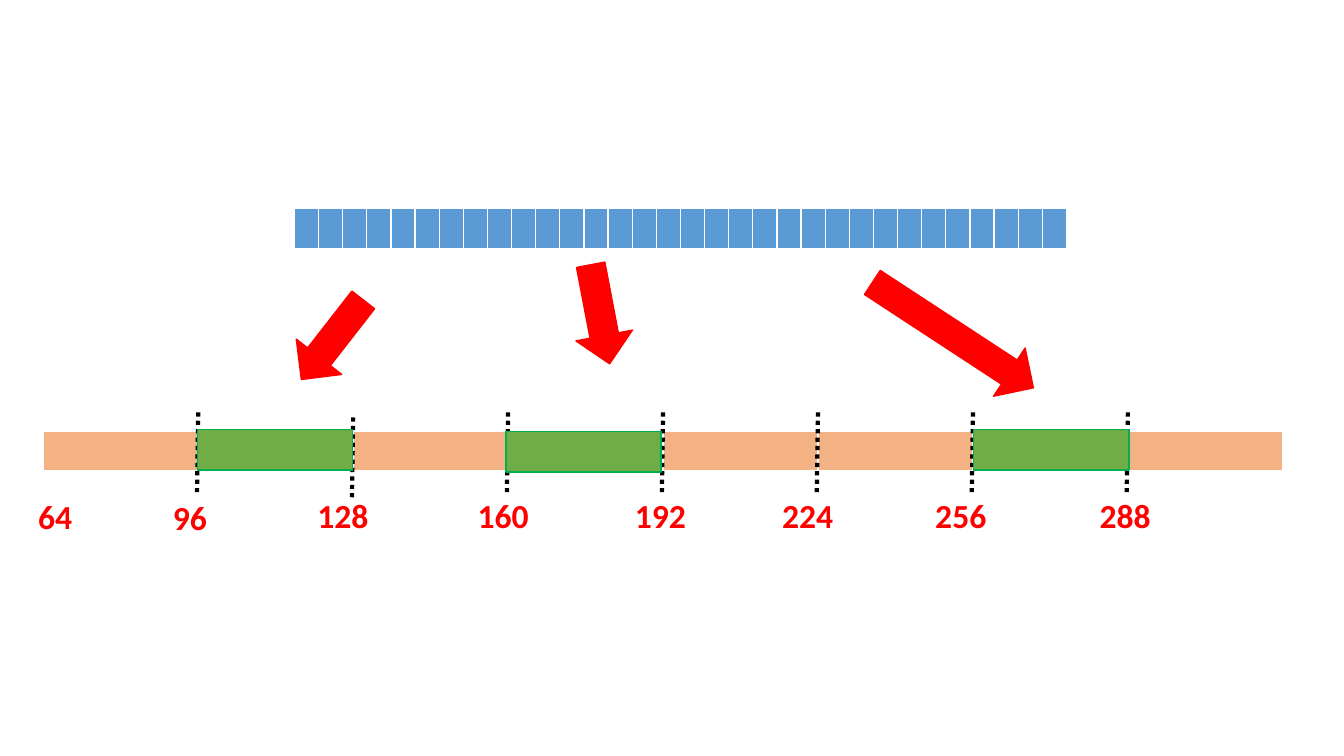
from lxml import etree
from pptx import Presentation
from pptx.dml.color import RGBColor
from pptx.enum import dml, shapes, text
from pptx.oxml import ns
from pptx.util import Cm, Pt

BLUE = RGBColor(0x5B, 0x9B, 0xD5)
ORANGE = RGBColor(0xF4, 0xB1, 0x83)
GREEN = RGBColor(0x70, 0xAD, 0x47)
GREEN_EDGE = RGBColor(0x00, 0xB0, 0x50)
RED = RGBColor(0xFF, 0x00, 0x00)
BLACK = RGBColor(0x00, 0x00, 0x00)
FONT = "Calibri"

# Strips: left, top, column count, column width, fill (cm)
SOURCE_STRIP = (7.42, 5.26, 32, 0.58, BLUE)
ADDRESS_STRIP = (1.09, 10.87, 8, 3.905, ORANGE)
STRIP_HEIGHT = 1.03
CELL_BORDERS = {"L": 1, "R": 1, "T": 1, "B": 3}

# Addresses: text, left, top, width (cm)
ADDRESSES = [
    ("64", 0.71, 12.37, 1.85),
    ("96", 4.11, 12.4, 1.88),
    ("128", 7.75, 12.34, 2.39),
    ("160", 11.79, 12.34, 2.39),
    ("192", 15.75, 12.34, 2.39),
    ("224", 19.46, 12.34, 2.39),
    ("256", 23.32, 12.34, 2.39),
    ("288", 27.46, 12.34, 2.39),
]
LABEL_HEIGHT = 1.27

# Tops of the dotted marks between address cells (cm)
MARK_TOPS = [10.39, 10.52, 10.39, 10.39, 10.39, 10.39, 10.39]
MARK_HEIGHT, MARK_SLANT = 2.01, 0.03

# Arrows: left, top, height (cm), rotation
ARROWS = [
    (7.65, 7.29, 2.54, 37.9),
    (14.4, 6.65, 2.54, 349.2),
    (23.29, 6.02, 4.85, 303.2),
]
ARROW_WIDTH = 1.45

# Blocks in use: left, top (cm)
BLOCKS = [(4.98, 10.82), (12.75, 10.87), (24.54, 10.82)]
BLOCK_WIDTH = 3.91


def add_strip(slide, left, top, count, column_width, colour):
    """Add a one-row table of equal cells with white borders."""
    strip = slide.shapes.add_table(1, count, Cm(left), Cm(top),
                                   Cm(count * column_width), Cm(STRIP_HEIGHT)).table
    for column in strip.columns:
        column.width = Cm(column_width)
    for cell in strip.iter_cells():
        properties = cell._tc.get_or_add_tcPr()
        for side, points in CELL_BORDERS.items():
            border = etree.SubElement(properties, ns.qn("a:ln" + side), w=str(Pt(points)))
            solid = etree.SubElement(border, ns.qn("a:solidFill"))
            etree.SubElement(solid, ns.qn("a:srgbClr"), val="FFFFFF")
        cell.fill.solid()
        cell.fill.fore_color.rgb = colour


def add_mark(slide, x, top):
    mark = slide.shapes.add_connector(shapes.MSO_CONNECTOR.STRAIGHT, Cm(x), Cm(top),
                                      Cm(x - MARK_SLANT), Cm(top + MARK_HEIGHT))
    mark.line.color.rgb = BLACK
    mark.line.width = Pt(3)
    mark.line.dash_style = dml.MSO_LINE.ROUND_DOT
    etree.SubElement(mark._element.spPr, ns.qn("a:effectLst"))


def add_address(slide, address, left, top, width):
    label = slide.shapes.add_textbox(Cm(left), Cm(top), Cm(width), Cm(LABEL_HEIGHT))
    frame = label.text_frame
    frame.word_wrap = True
    frame.auto_size = text.MSO_AUTO_SIZE.SHAPE_TO_FIT_TEXT
    run = frame.paragraphs[0].add_run()
    run.text = address
    run.font.name = FONT
    run.font.size = Pt(24)
    run.font.bold = True
    run.font.color.rgb = RED


def add_solid(slide, preset, left, top, width, height, fill, edge):
    solid = slide.shapes.add_shape(preset, Cm(left), Cm(top), Cm(width), Cm(height))
    solid.shadow.inherit = False
    solid.fill.solid()
    solid.fill.fore_color.rgb = fill
    solid.line.color.rgb = edge
    solid.line.width = Pt(1)
    return solid


def main():
    deck = Presentation()
    deck.slide_width, deck.slide_height = Cm(33.87), Cm(19.05)
    slide = deck.slides.add_slide(deck.slide_layouts[6])

    add_strip(slide, *SOURCE_STRIP)
    add_strip(slide, *ADDRESS_STRIP)

    strip_left, _, _, cell_width, _ = ADDRESS_STRIP
    for boundary, top in enumerate(MARK_TOPS, start=1):
        add_mark(slide, strip_left + boundary * cell_width, top)
    for address in ADDRESSES:
        add_address(slide, *address)
    for left, top, height, rotation in ARROWS:
        arrow = add_solid(slide, shapes.MSO_SHAPE.DOWN_ARROW, left, top,
                          ARROW_WIDTH, height, RED, RED)
        arrow.rotation = rotation
    for left, top in BLOCKS:
        add_solid(slide, shapes.MSO_SHAPE.RECTANGLE, left, top,
                  BLOCK_WIDTH, STRIP_HEIGHT, GREEN, GREEN_EDGE)

    deck.save("out.pptx")


if __name__ == "__main__":
    main()
